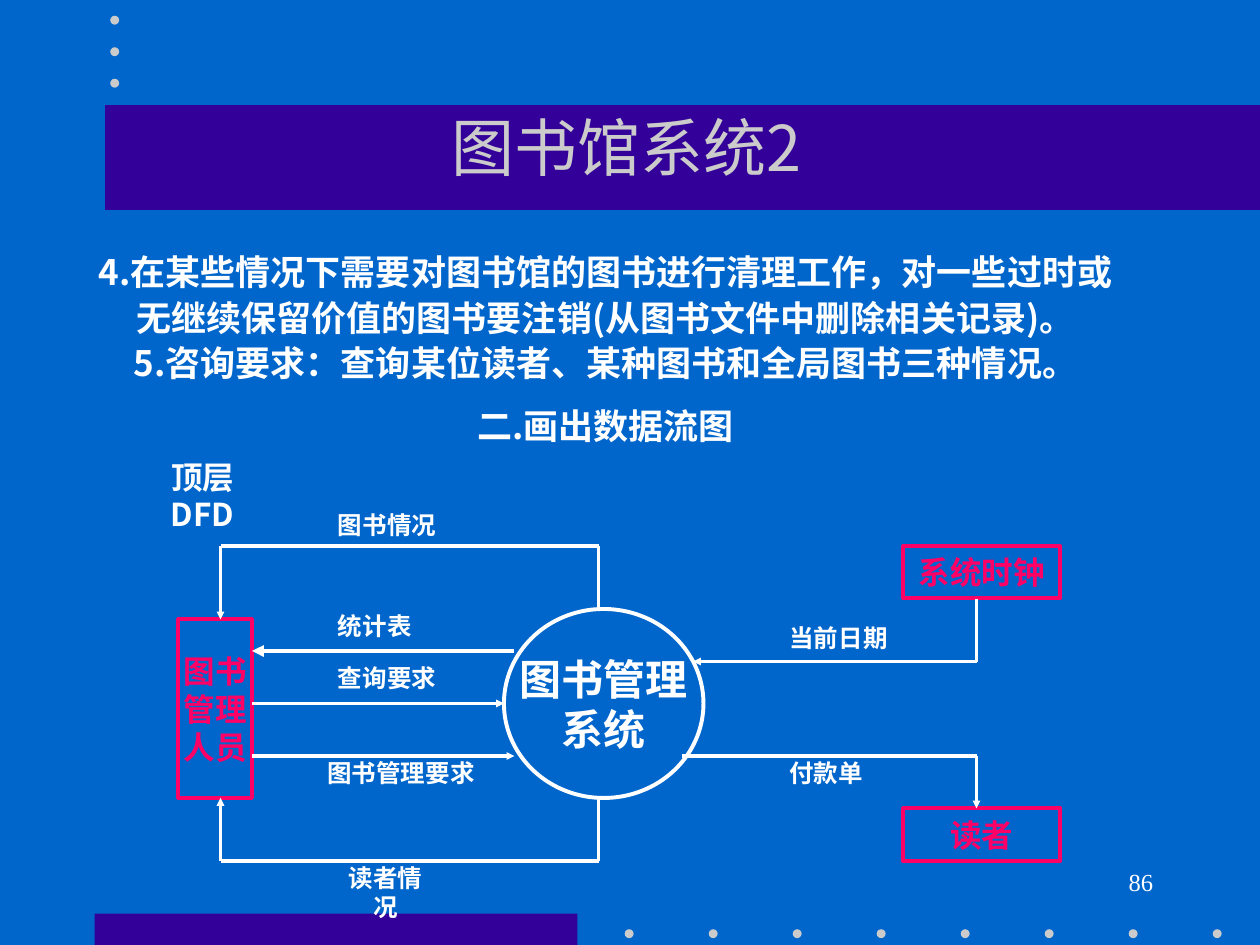
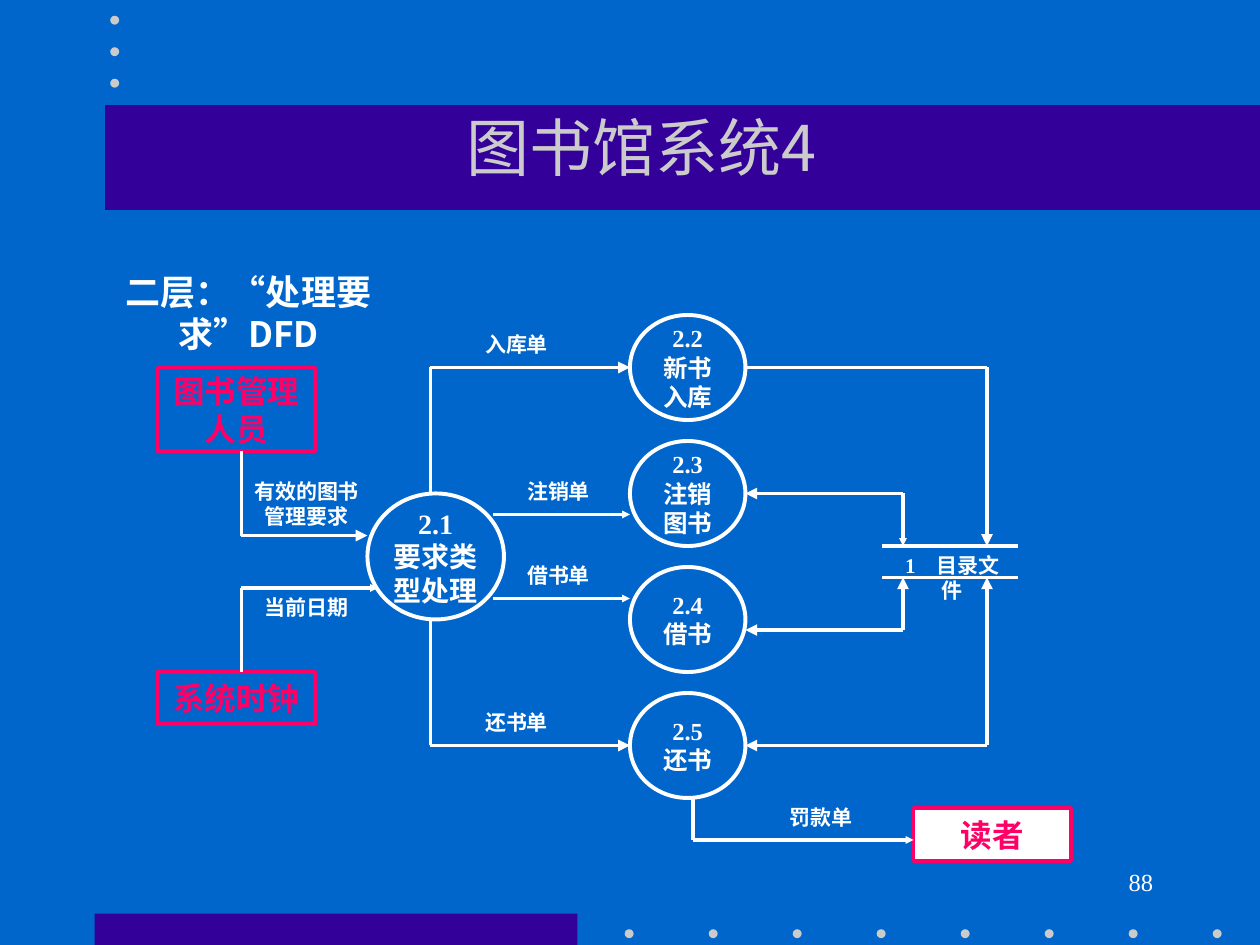
from dataclasses import dataclass

from lxml import etree
from pptx import Presentation
from pptx import util as u
from pptx.dml.color import RGBColor
from pptx.enum import shapes, text
from pptx.oxml.ns import qn

WIDE, HIGH = u.Inches(10), u.Inches(7.5)
COLS = 120
CELL = WIDE // COLS

BLUE = RGBColor(0x00, 0x66, 0xCC)
INDIGO = RGBColor(0x33, 0x00, 0x99)
GRAY = RGBColor(0xCB, 0xCB, 0xCB)
WHITE = RGBColor(0xFF, 0xFF, 0xFF)
PINK = RGBColor(0xFF, 0x00, 0x66)

SANS = "Noto Sans CJK SC"
SERIF = "Times New Roman"
LEAD = 1.2
STROKE = u.Pt(2.25)
RECT = shapes.MSO_SHAPE.RECTANGLE
OVAL = shapes.MSO_SHAPE.OVAL
MID = text.PP_ALIGN.CENTER


@dataclass(frozen=True)
class Box:
    x: float
    y: float
    w: float
    h: float

    def place(self) -> tuple:
        return tuple(u.Emu(round(n * CELL)) for n in (self.x, self.y, self.w, self.h))


@dataclass(frozen=True)
class Style:
    size: float
    color: RGBColor = WHITE
    face: str = SERIF
    bold: bool = True
    align: text.PP_ALIGN = MID


@dataclass(frozen=True)
class Node:
    words: str
    box: Box
    size: float = 18
    kind: shapes.MSO_SHAPE = RECT
    color: RGBColor = PINK
    fill: RGBColor | None = None


@dataclass(frozen=True)
class Flow:
    points: tuple
    tail: str = ""
    head: str = ""


@dataclass(frozen=True)
class Label:
    words: str
    x: float
    y: float
    size: float
    chars: float = 0
    face: str = SERIF
    gaps: tuple = ()


@dataclass(frozen=True)
class Page:
    title: str
    number: str
    span: Box
    nodes: list
    flows: list
    labels: list


def write(frame, words: str, style: Style, gaps: tuple = ()) -> None:
    frame.text = words
    for i, para in enumerate(frame.paragraphs):
        para.alignment = style.align
        para.line_spacing = u.Pt(style.size * LEAD)
        para.space_before = u.Pt(gaps[i] if gaps else 0)
        font = para.font
        font.size, font.bold, font.name = u.Pt(style.size), style.bold, style.face
        font.color.rgb = style.color
        props = para._p.get_or_add_pPr().find(qn("a:defRPr"))
        etree.SubElement(props, qn("a:ea"), typeface=SANS)


def add_plain(slide, kind, box: Box, color: RGBColor) -> None:
    shape = slide.shapes.add_shape(kind, *box.place())
    shape.shadow.inherit = False
    shape.fill.solid()
    shape.fill.fore_color.rgb = color
    shape.line.fill.background()


def add_decor(slide) -> None:
    for band in (Box(9, 87, 46, 3), Box(10, 10, 110, 10)):
        add_plain(slide, RECT, band, INDIGO)
    spots = [(59.5 + 8 * i, 88.5) for i in range(8)]
    spots += [(10.5, 1.5 + 3 * i) for i in range(3)]
    for x, y in spots:
        add_plain(slide, OVAL, Box(x, y, 0.85, 0.85), GRAY)


def add_title(slide, page: Page) -> None:
    title = slide.shapes.title
    slide.shapes.element.append(title.element)
    title.left, title.top, title.width, title.height = page.span.place()
    frame = title.text_frame
    frame.auto_size = text.MSO_AUTO_SIZE.NONE
    frame.vertical_anchor = text.MSO_ANCHOR.MIDDLE
    write(frame, page.title, Style(36, GRAY, SANS, False))


def add_number(slide, number: str) -> None:
    box = slide.shapes.add_textbox(*Box(86, 82, 25, 6).place())
    box.text_frame.word_wrap = True
    style = Style(14, bold=False, align=text.PP_ALIGN.RIGHT)
    write(box.text_frame, number, style)


def add_node(slide, node: Node) -> None:
    shape = slide.shapes.add_shape(node.kind, *node.box.place())
    shape.shadow.inherit = False
    if node.fill is None:
        shape.fill.background()
    else:
        shape.fill.solid()
        shape.fill.fore_color.rgb = node.fill
    shape.line.color.rgb = node.color
    shape.line.width = STROKE
    frame = shape.text_frame
    frame.word_wrap = False
    frame.vertical_anchor = text.MSO_ANCHOR.MIDDLE
    write(frame, node.words, Style(node.size, node.color))


def add_flow(slide, flow: Flow) -> None:
    legs = list(zip(flow.points, flow.points[1:]))
    for i, (start, end) in enumerate(legs):
        ends = [u.Emu(round(n * CELL)) for n in (*start, *end)]
        line = slide.shapes.add_connector(shapes.MSO_CONNECTOR.STRAIGHT, *ends)
        line.line.color.rgb = WHITE
        line.line.width = STROKE
        props = line.element.spPr
        stroke = props.find(qn("a:ln"))
        tips = (("a:headEnd", flow.head if i == 0 else ""),
                ("a:tailEnd", flow.tail if i == len(legs) - 1 else ""))
        for tag, size in tips:
            if size:
                etree.SubElement(stroke, qn(tag), type="triangle", w=size, len=size)
        etree.SubElement(props, qn("a:effectLst"))


def add_label(slide, label: Label) -> None:
    lines = label.words.split("\n")
    chars = label.chars or max(map(len, lines))
    em = label.size / 6
    box = Box(label.x, label.y, chars * em + 2.4, len(lines) * em * LEAD + 1.2)
    frame = slide.shapes.add_textbox(*box.place()).text_frame
    frame.word_wrap = label.chars > 0
    write(frame, label.words, Style(label.size, face=label.face), label.gaps)


def add_page(deck, page: Page) -> None:
    slide = deck.slides.add_slide(deck.slide_layouts[5])
    slide.background.fill.solid()
    slide.background.fill.fore_color.rgb = BLUE
    add_decor(slide)
    add_title(slide, page)
    add_number(slide, page.number)
    for node in page.nodes:
        add_node(slide, node)
    for flow in page.flows:
        add_flow(slide, flow)
    for label in page.labels:
        add_label(slide, label)


NEEDS = "\n".join((
    "4.在某些情况下需要对图书馆的图书进行清理工作，对一些过时或",
    "无继续保留价值的图书要注销(从图书文件中删除相关记录)。",
    "5.咨询要求：查询某位读者、某种图书和全局图书三种情况。",
    "二.画出数据流图",
))

TOP = Page(
    "图书馆系统2", "86", Box(37.4, 10.3, 44.6, 7.2),
    nodes=[
        Node("图书管理\n系统", Box(48, 58, 19, 18), 24, OVAL, WHITE),
        Node("图书\n管理\n人员", Box(17, 59, 7, 17)),
        Node("系统时钟", Box(86, 52, 15, 5)),
        Node("读者", Box(86, 77, 15, 5)),
    ],
    flows=[
        Flow(((24, 67), (48, 67)), "sm"),
        Flow(((24, 72), (49, 72)), "sm"),
        Flow(((49, 62), (24, 62)), "med"),
        Flow(((57, 76), (57, 82), (21, 82), (21, 76)), "sm"),
        Flow(((57, 58), (57, 52), (21, 52), (21, 59)), "sm"),
        Flow(((65, 72), (93, 72), (93, 77)), "sm"),
        Flow(((93, 57), (93, 63), (66, 63)), "sm"),
    ],
    labels=[
        Label("查询要求", 31, 62.6, 14),
        Label("图书管理要求", 30, 71.6, 14),
        Label("统计表", 31, 57.6, 14),
        Label("读者情况", 31.8, 81.6, 14, 3.2),
        Label("图书情况", 31, 48, 14),
        Label("付款单", 74, 71.6, 14),
        Label("当前日期", 74, 58.7, 14),
        Label("顶层DFD", 13, 43, 18, 3.4, SANS),
        Label(NEEDS, 5.8, 23.3, 20, 30.4, SANS, (0, 2, 2, 12)),
    ],
)

STEPS = ("2.2\n新书\n入库", "2.3\n注销\n图书", "2.4\n借书", "2.5\n还书")

SECOND = Page(
    "图书馆系统4", "88", Box(37.4, 10.3, 47.3, 7.2),
    nodes=[
        Node("图书管理\n人员", Box(15, 35, 15, 8)),
        Node("系统时钟", Box(15, 64, 15, 5)),
        Node("2.1\n要求类\n型处理", Box(35, 47, 13, 12), 16, OVAL, WHITE),
        *(Node(step, Box(60, 30 + 12 * i, 11, 10), 14, OVAL, WHITE)
          for i, step in enumerate(STEPS)),
        Node("读者", Box(87, 77, 15, 5), fill=WHITE),
    ],
    flows=[
        Flow(((71, 47), (86, 47), (86, 52)), "sm", "med"),
        Flow(((71, 60), (86, 60), (86, 55)), "med", "med"),
        Flow(((71, 71), (94, 71), (94, 55)), "med", "med"),
        Flow(((71, 35), (94, 35), (94, 52)), "med"),
        Flow(((23, 64), (23, 56), (36, 56)), "sm"),
        Flow(((23, 43), (23, 51), (35, 51)), "med"),
        Flow(((41, 47), (41, 35), (60, 35)), "med"),
        Flow(((41, 59), (41, 71), (60, 71)), "med"),
        Flow(((47, 49), (60, 49)), "sm"),
        Flow(((47, 57), (60, 57)), "sm"),
        Flow(((66, 76), (66, 80), (87, 80)), "sm"),
        *(Flow(((84, y), (97, y))) for y in (52, 55)),
    ],
    labels=[
        Label("当前日期", 24, 56, 12),
        Label("有效的图书\n管理要求", 23, 45, 12),
        Label("入库单", 45, 31, 12),
        Label("注销单", 49, 45, 12),
        Label("借书单", 49, 53, 12),
        Label("还书单", 45, 67, 12),
        Label("罚款单", 74, 76, 12),
        Label("1　目录文件", 84.5, 52, 12, 5),
        Label("二层：“处理要求”DFD", 10.3, 25.2, 20, 7.3, SANS),
    ],
)


def main() -> None:
    deck = Presentation()
    deck.slide_width, deck.slide_height = WIDE, HIGH
    for page in (TOP, SECOND):
        add_page(deck, page)
    deck.save("out.pptx")


if __name__ == "__main__":
    main()
